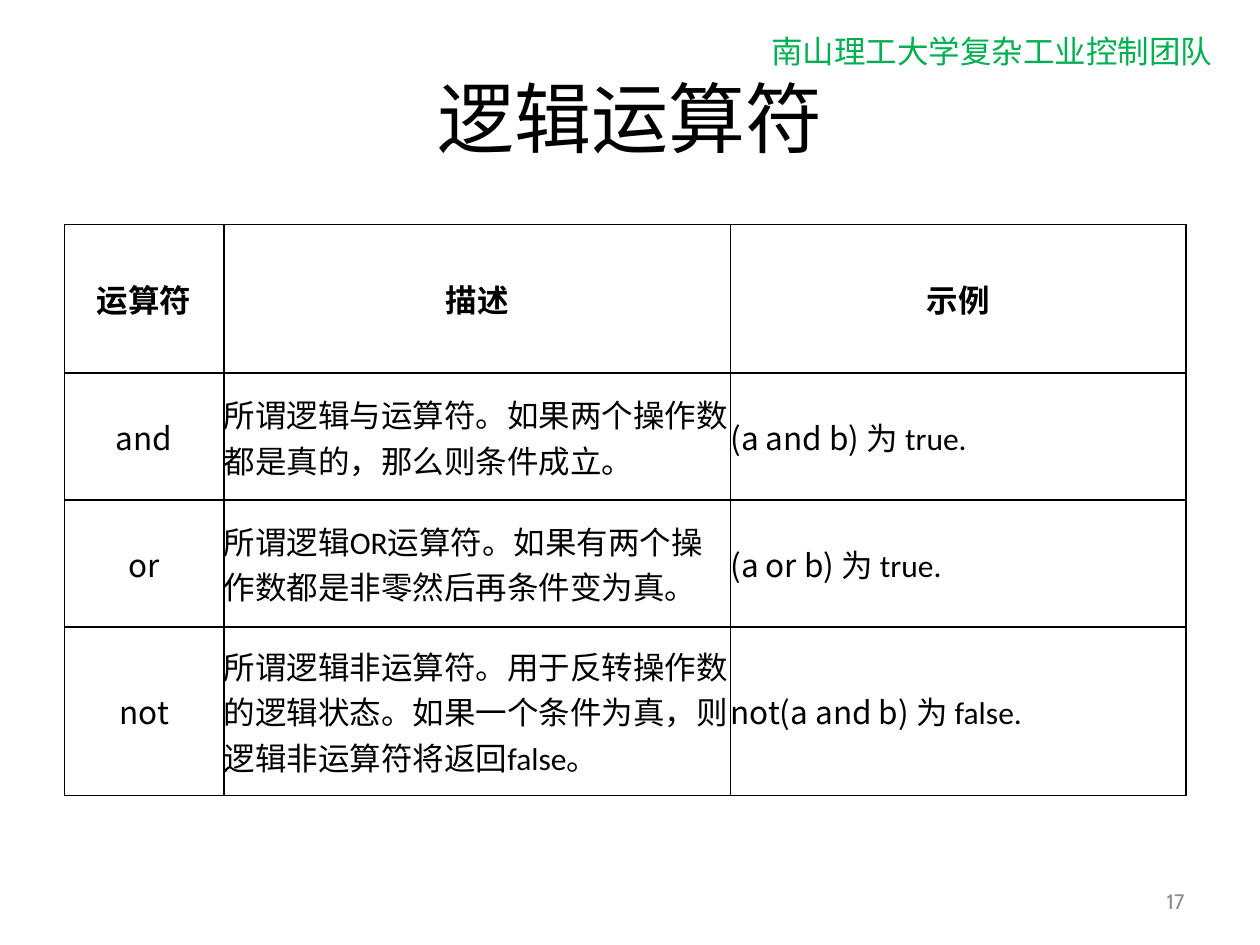
from lxml.etree import SubElement as Sub
from pptx import Presentation
from pptx.dml.color import RGBColor as Color
from pptx.enum.text import MSO_ANCHOR as Anchor, PP_ALIGN as Align
from pptx.oxml.ns import qn
from pptx.util import Pt

COLORS = {"ink": "000000", "team": "00B050", "page": "8C8C8C"}
CJK = "Noto Sans CJK SC"
COLS = (91, 289.5, 260.5)
ROWS = (85, 72.5, 72.5, 96.5)
HEADS = ("运算符", "描述", "示例")
# Operator, description, example code, example result
OPS = (
    ("and", "所谓逻辑与运算符。如果两个操作数都是真的，那么则条件成立。",
     "(a and b) ", "为\u00a0true."),
    ("or", "所谓逻辑OR运算符。如果有两个操作数都是非零然后再条件变为真。",
     "(a or b) ", "为\u00a0true."),
    ("not", "所谓逻辑非运算符。用于反转操作数的逻辑状态。如果一个条件为真，"
     "则逻辑非运算符将返回false。", "not(a and b) ", "为\u00a0false."),
)


def write(para, text, font="Calibri", size=18, color="ink", bold=False,
          align=Align.LEFT):
    """Add one formatted run to a paragraph."""
    para.alignment = align
    run = para.add_run()
    run.text = text
    face = run.font
    face.name, face.size, face.bold = font, Pt(size), bold
    face.color.rgb = Color.from_string(COLORS[color])
    Sub(run._r.get_or_add_rPr(), qn("a:ea"), typeface=CJK)


def label(slide, text, left, top, width, height, wrap=True,
          anchor=Anchor.MIDDLE, **form):
    """Add a text box with one line of text."""
    box = slide.shapes.add_textbox(Pt(left), Pt(top), Pt(width), Pt(height))
    frame = box.text_frame
    frame.word_wrap, frame.vertical_anchor = wrap, anchor
    write(frame.paragraphs[0], text, font="Cabin", **form)


def border(cell):
    """Draw a thin line on all four sides of a cell."""
    props = cell._tc.get_or_add_tcPr()
    for i, side in enumerate("LRTB"):
        line = Sub(props, qn("a:ln" + side), w=str(Pt(1)))
        fill = Sub(line, qn("a:solidFill"))
        Sub(fill, qn("a:srgbClr"), val=COLORS["ink"])
        props.insert(i, line)


def style(cell, inset):
    """Set inset, anchor, fill and border of a cell."""
    cell.margin_left = cell.margin_right = Pt(inset)
    cell.margin_top = cell.margin_bottom = Pt(inset)
    cell.vertical_anchor = Anchor.MIDDLE
    cell.fill.background()
    border(cell)


def grid(slide, left, top):
    """Add the table of logical operators."""
    table = slide.shapes.add_table(
        len(ROWS), len(COLS), Pt(left), Pt(top),
        Pt(sum(COLS)), Pt(sum(ROWS))).table
    table.first_row = table.horz_banding = False
    for col, width in zip(table.columns, COLS):
        col.width = Pt(width)
    for i, (row, height) in enumerate(zip(table.rows, ROWS)):
        row.height = Pt(height)
        for cell in row.cells:
            style(cell, 0 if i else 3)
    for j, head in enumerate(HEADS):
        para = table.cell(0, j).text_frame.paragraphs[0]
        write(para, head, bold=True, align=Align.CENTER)
    for i, (name, about, code, result) in enumerate(OPS, 1):
        op, desc, case = (table.cell(i, j).text_frame.paragraphs[0]
                          for j in range(len(COLS)))
        write(op, name, font=CJK, align=Align.CENTER)
        write(desc, about)
        write(case, code, font=CJK)
        write(case, result)


def main():
    """Build the slide and save it."""
    deck = Presentation()
    deck.slide_width, deck.slide_height = Pt(720), Pt(540)
    slide = deck.slides.add_slide(deck.slide_layouts[6])
    label(slide, "南山理工大学复杂工业控制团队", 433.5, 15, 269.5, 29,
          wrap=False, anchor=Anchor.TOP, color="team")
    label(slide, "逻辑运算符", 36, 21.6, 648, 90, size=44,
          align=Align.CENTER)
    label(slide, "17", 516, 500.5, 168, 28.8, size=12, color="page",
          align=Align.RIGHT)
    grid(slide, 36.9, 128.2)
    deck.save("out.pptx")


main()
